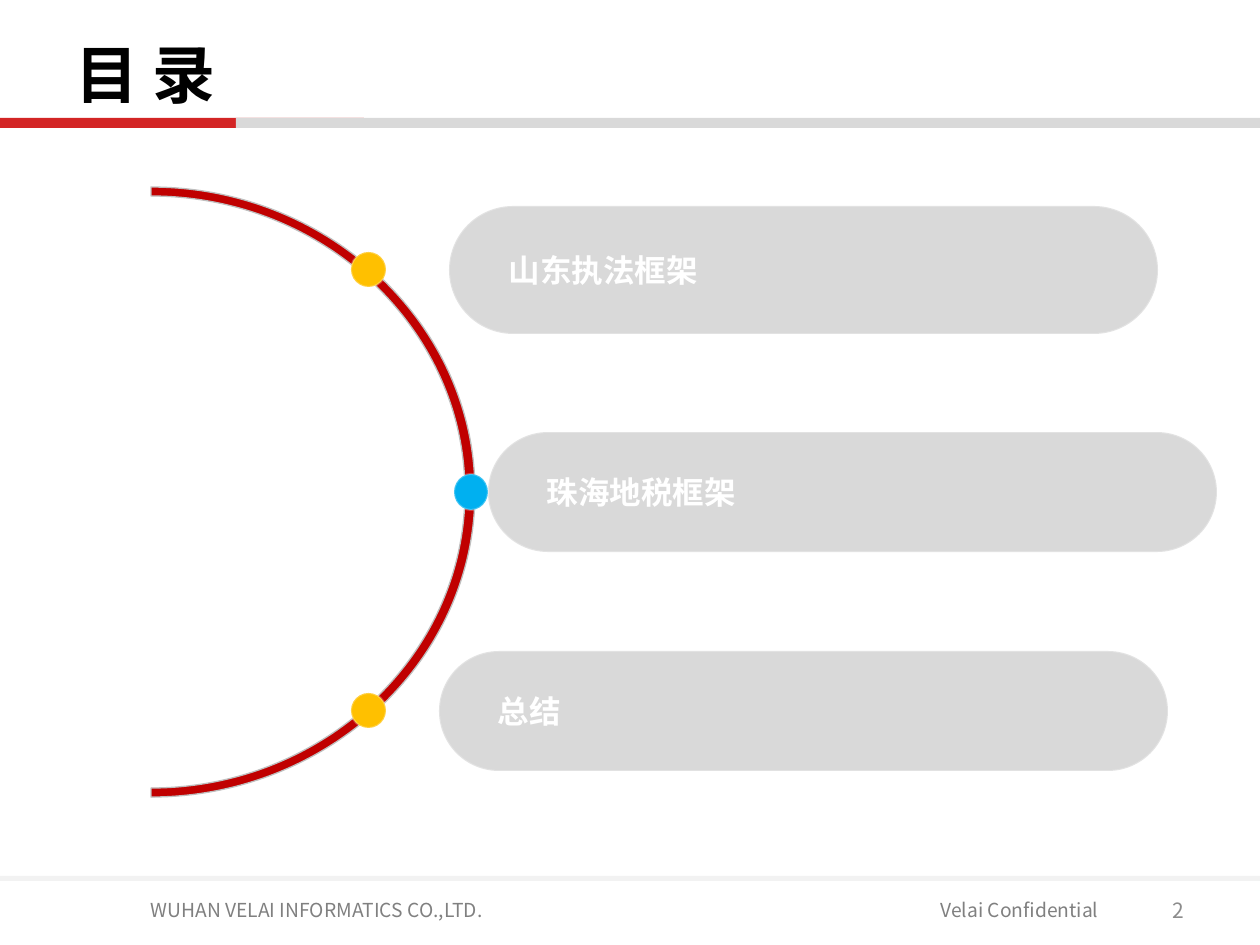
from dataclasses import dataclass

from lxml import etree
from pptx import Presentation
from pptx.dml.color import RGBColor
from pptx.enum.shapes import MSO_SHAPE
from pptx.enum.text import MSO_ANCHOR, PP_ALIGN
from pptx.oxml.ns import qn
from pptx.util import Emu, Pt

RECTANGLE = MSO_SHAPE.RECTANGLE
ROUNDED = MSO_SHAPE.ROUNDED_RECTANGLE
OVAL = MSO_SHAPE.OVAL
MIDDLE = MSO_ANCHOR.MIDDLE
LEFT = PP_ALIGN.LEFT
RIGHT = PP_ALIGN.RIGHT

WHITE = RGBColor(0xFF, 0xFF, 0xFF)
BLACK = RGBColor(0x00, 0x00, 0x00)
RED = RGBColor(0xD3, 0x25, 0x25)
DARK_RED = RGBColor(0xC0, 0x00, 0x00)
AMBER = RGBColor(0xFF, 0xC0, 0x00)
BLUE = RGBColor(0x00, 0xB0, 0xF0)
SILVER = RGBColor(0xD9, 0xD9, 0xD9)
PALE = RGBColor(0xF2, 0xF2, 0xF2)
EDGE = RGBColor(0xBF, 0xBF, 0xBF)
FOOTER_GRAY = RGBColor(0x80, 0x80, 0x80)
NUMBER_GRAY = RGBColor(0x8C, 0x8C, 0x8C)

FONT = "Noto Sans CJK SC"
EMU_PER_PIXEL = 914400 / 126
PILL_INDENT = 41
BEND = 0.55
HALF_TURN = [(0, -1), (BEND, -1), (1, -BEND), (1, 0), (1, BEND), (BEND, 1), (0, 1)]
CURVE_STARTS = (0, 3, 7, 10)


@dataclass(frozen=True)
class Box:
    left: int
    top: int
    width: int
    height: int


@dataclass(frozen=True)
class Bar:
    box: Box
    color: RGBColor


@dataclass(frozen=True)
class Label:
    text: str
    box: Box
    size: int
    color: RGBColor
    bold: bool = False
    align: PP_ALIGN = LEFT


@dataclass(frozen=True)
class Topic:
    text: str
    pill: Box
    dot: Box
    dot_color: RGBColor


BARS = [
    Bar(Box(0, 118, 364, 10), RED),
    Bar(Box(236, 118, 1024, 10), SILVER),
    Bar(Box(0, 876, 1260, 5), PALE),
]
LABELS = [
    Label("Velai Confidential", Box(928, 892, 235, 36), 11, FOOTER_GRAY),
    Label("WUHAN VELAI INFORMATICS CO.,LTD.", Box(138, 892, 395, 36), 11, FOOTER_GRAY),
    Label("目 录", Box(63, 38, 1134, 70), 36, BLACK, bold=True),
    Label("2", Box(903, 885, 294, 50), 12, NUMBER_GRAY, align=RIGHT),
]
TOPICS = [
    Topic("山东执法框架", Box(449, 206, 709, 128), Box(351, 252, 35, 35), AMBER),
    Topic("珠海地税框架", Box(488, 432, 729, 120), Box(454, 474, 34, 36), BLUE),
    Topic("总结", Box(439, 651, 729, 120), Box(351, 693, 35, 35), AMBER),
]


def px(value: float) -> Emu:
    return Emu(round(value * EMU_PER_PIXEL))


def place(box: Box) -> tuple[Emu, Emu, Emu, Emu]:
    return px(box.left), px(box.top), px(box.width), px(box.height)


def write(shape, text: str, *, size: int, color: RGBColor, bold: bool = False,
          align: PP_ALIGN = LEFT) -> None:
    frame = shape.text_frame
    frame.word_wrap = True
    frame.vertical_anchor = MIDDLE
    para = frame.paragraphs[0]
    para.alignment = align
    span = para.add_run()
    span.text = text
    span.font.size = Pt(size)
    span.font.bold = bold
    span.font.color.rgb = color
    span.font.name = FONT
    latin = span.font._element.find(qn("a:latin"))
    latin.addnext(etree.Element(qn("a:ea"), typeface=FONT))


def add_filled(page, kind: MSO_SHAPE, box: Box, color: RGBColor, *,
               outlined: bool = False):
    shape = page.shapes.add_shape(kind, *place(box))
    shape.shadow.inherit = False
    shape.fill.solid()
    shape.fill.fore_color.rgb = color
    if outlined:
        shape.line.width = Pt(1.2)
        shape.line.color.rgb = WHITE
        tint = shape.line._ln.find(qn("a:solidFill"))[0]
        etree.SubElement(tint, qn("a:alpha"), val="25000")
    else:
        shape.line.fill.background()
    return shape


def arc_points(radius_x: int, radius_y: int) -> list[tuple[Emu, Emu]]:
    return [(px(151 + radius_x * x), px(492 + radius_y * y)) for x, y in HALF_TURN]


def bend_lines(shape) -> None:
    lines = list(shape._element.iter(qn("a:lnTo")))
    for start in CURVE_STARTS:
        curve = etree.Element(qn("a:cubicBezTo"))
        lines[start].addprevious(curve)
        for line in lines[start:start + 3]:
            curve.append(line[0])
            line.getparent().remove(line)


def add_arc(page) -> None:
    outline = arc_points(314, 296) + arc_points(324, 305)[::-1]
    builder = page.shapes.build_freeform(*outline[0], scale=1.0)
    builder.add_line_segments(outline[1:], close=True)
    arc = builder.convert_to_shape()
    bend_lines(arc)
    arc.shadow.inherit = False
    arc.fill.solid()
    arc.fill.fore_color.rgb = DARK_RED
    arc.line.color.rgb = EDGE
    arc.line.width = Pt(0.75)


def add_topic(page, topic: Topic) -> None:
    pill = add_filled(page, ROUNDED, topic.pill, SILVER, outlined=True)
    pill.adjustments[0] = 0.5
    pill.text_frame.margin_left = px(PILL_INDENT)
    write(pill, topic.text, size=18, color=WHITE, bold=True)
    add_filled(page, OVAL, topic.dot, topic.dot_color, outlined=True)


def build() -> None:
    deck = Presentation()
    deck.slide_width, deck.slide_height = px(1260), px(945)
    page = deck.slides.add_slide(deck.slide_layouts[6])
    for bar in BARS:
        add_filled(page, RECTANGLE, bar.box, bar.color)
    for label in LABELS:
        holder = page.shapes.add_textbox(*place(label.box))
        write(holder, label.text, size=label.size, color=label.color,
              bold=label.bold, align=label.align)
    add_arc(page)
    for topic in TOPICS:
        add_topic(page, topic)
    deck.save("out.pptx")


build()
